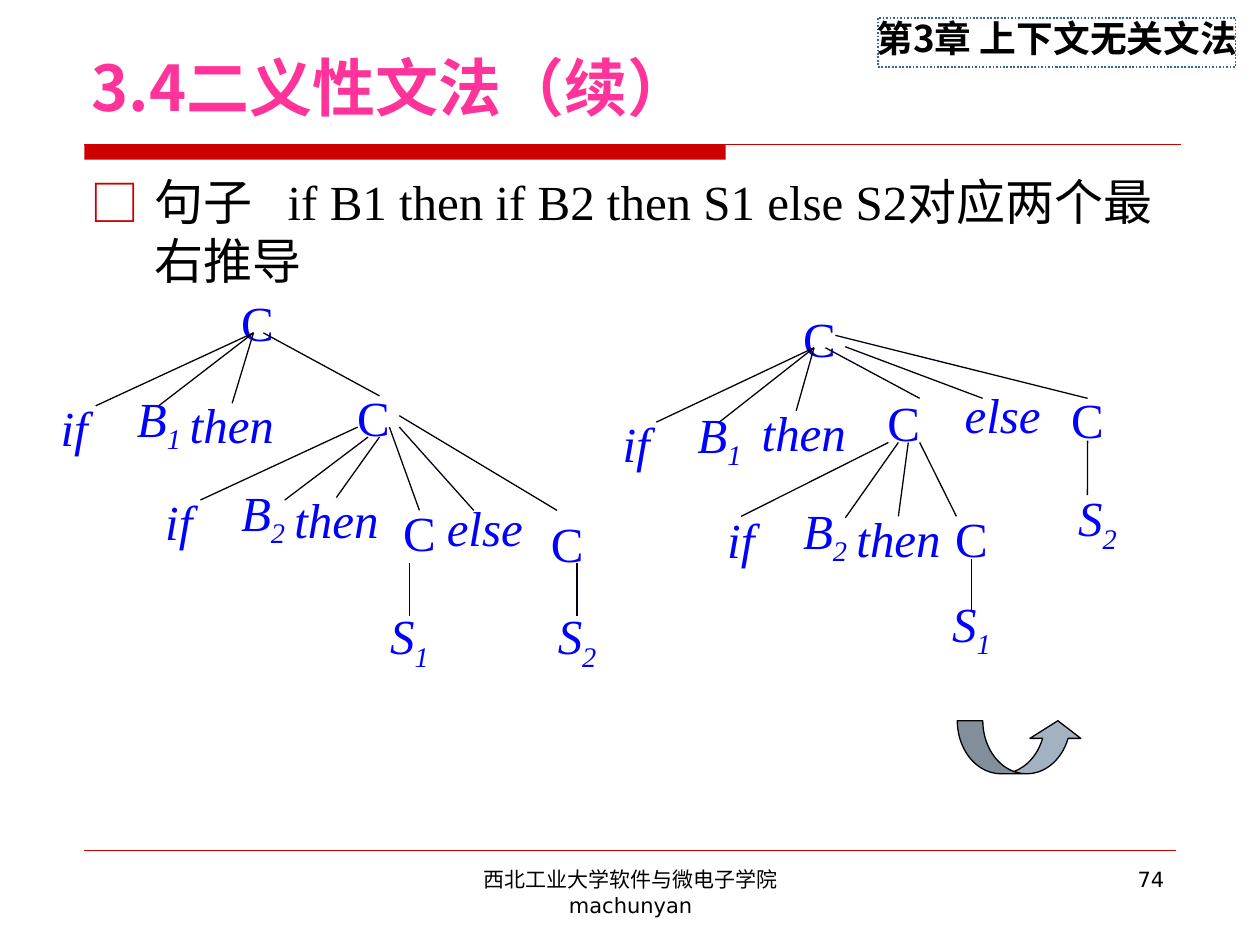
import pptx
import pptx.dml.color
import pptx.enum.dml
import pptx.enum.shapes
import pptx.enum.text
import pptx.oxml.ns
import pptx.util
from lxml import etree

Cm, Pt = pptx.util.Cm, pptx.util.Pt
RGB = pptx.dml.color.RGBColor
ALIGN = pptx.enum.text.PP_ALIGN
ANCHOR = pptx.enum.text.MSO_ANCHOR
SHAPE = pptx.enum.shapes.MSO_SHAPE
qn = pptx.oxml.ns.qn

BLACK, WHITE = RGB(0, 0, 0), RGB(255, 255, 255)
RED, PINK, BLUE = RGB(0xCC, 0, 0), RGB(0xFF, 0x33, 0x99), RGB(0, 0, 0xFF)
FRAME_BLUE, ARROW_GREY = RGB(0x33, 0x66, 0x99), RGB(0xA3, 0xB2, 0xC1)
BRANCH = RGB(0x03, 0x01, 0x0F)
SERIF, SANS, HAN = "Times New Roman", "DejaVu Sans", "Noto Sans CJK JP"

CHAPTER = "第3章 上下文无关文法"
TITLE = "3.4二义性文法（续）"
SENTENCE = "句子\tif B1 then if B2 then S1 else S2对应两个最右推导"
FOOTER = "西北工业大学软件与微电子学院 machunyan"
PAGE = "74"

# Node: key -> (label, left, top) in cm; a digit in a label is a subscript
WIDE, WORD, LOW = (1.9, 0.85), (1.27, 0.85), (1.27, 0.64)
NEAREST_THEN = {
    "root": ("C", 4.24, 6.07), "inner": ("C", 6.58, 7.98),
    "if 1": ("if", 0.86, 8.18), "B1": ("B1", 2.57, 8.18),
    "then 1": ("then", 4.04, 8.13),
    "if 2": ("if", 2.97, 10.08), "B2": ("B2", 4.67, 10.08),
    "then 2": ("then", 6.15, 10.03), "C1": ("C", 7.82, 10.29),
    "else": ("else", 9.14, 10.31), "C2": ("C", 10.8, 10.52),
    "S1": ("S1", 7.62, 12.57), "S2": ("S2", 11, 12.57),
}
FARTHEST_THEN = {
    "root": ("C", 15.57, 6.38), "inner": ("C", 17.27, 8.08),
    "if 1": ("if", 12.19, 8.51), "B1": ("B1", 13.87, 8.51),
    "then 1": ("then", 15.57, 8.28),
    "else": ("else", 19.58, 8.03), "C2": ("C", 21.29, 8.03),
    "if 2": ("if", 14.3, 10.44), "B2": ("B2", 16, 10.44),
    "then 2": ("then", 17.48, 10.41), "C1": ("C", 18.95, 10.41),
    "S1": ("S1", 18.95, 12.32), "S2": ("S2", 21.49, 10.19),
}
# Branch: (from, to), each a point in cm or the key of a node to join
NEAREST_BRANCHES = [
    ((5.11, 6.71), (1.93, 8.18)), ((5.11, 6.71), (3.2, 8.18)),
    ((5.11, 6.71), (4.68, 8.13)), ((5.31, 6.71), (7.65, 7.98)),
    ((7.21, 8.61), (4.04, 10.08)), ((7.42, 8.81), (5.74, 10.08)),
    ((7.65, 8.81), (6.78, 10.03)), ((7.85, 8.61), "C1"),
    ((8.05, 8.61), (9.55, 10.29)), ((8.05, 8.38), (11.23, 10.29)),
    ((8.26, 11.35), (8.26, 12.42)), ((11.63, 11.35), (11.63, 12.42)),
]
FARTHEST_BRANCHES = [
    ((16.41, 7.01), (13.23, 8.51)), ((16.41, 7.01), (14.5, 8.51)),
    ((16.41, 7.01), (16.05, 8.28)), ((16.64, 7.01), (18.54, 8.03)),
    ((17.04, 6.99), (19.81, 8.03)), ((16.84, 6.76), "C2"),
    ((17.91, 8.92), (14.94, 10.41)), ((18.11, 8.92), (17.04, 10.44)),
    ((18.31, 8.92), (18.11, 10.41)), ((18.54, 8.92), (19.28, 10.41)),
    ("C1", "S1"), ("C2", (21.92, 9.98)),
]

deck = pptx.Presentation()
deck.slide_width, deck.slide_height = Cm(25.4), Cm(19.05)
slide = deck.slides.add_slide(deck.slide_layouts[6])


def add_run(paragraph, text, font=SERIF, **style):
    run = paragraph.add_run()
    run.text = text
    color = style.pop("color", BLACK)
    for key, value in {"name": font, **style}.items():
        setattr(run.font, key, value)
    run.font.color.rgb = color
    etree.SubElement(run.font._element, qn("a:ea"), typeface=HAN)
    return run


def add_box(left, top, width, height, fill=None, kind=SHAPE.RECTANGLE):
    box = slide.shapes.add_shape(kind, Cm(left), Cm(top), Cm(width), Cm(height))
    box.shadow.inherit = False
    box.line.fill.background()
    if fill is None:
        box.fill.background()
    else:
        box.fill.solid()
        box.fill.fore_color.rgb = fill
    frame = box.text_frame
    frame.word_wrap, frame.vertical_anchor = False, ANCHOR.MIDDLE
    frame.paragraphs[0].alignment = ALIGN.CENTER
    return box


def add_text(box, text, align=ALIGN.LEFT, anchor=ANCHOR.TOP, **style):
    frame = slide.shapes.add_textbox(*map(Cm, box)).text_frame
    frame.word_wrap, frame.vertical_anchor = True, anchor
    paragraph = frame.paragraphs[0]
    paragraph.alignment = align
    add_run(paragraph, text, **style)
    return paragraph


def add_line(start, end, color=BRANCH, width=0.75):
    line = slide.shapes.add_connector(
        pptx.enum.shapes.MSO_CONNECTOR.STRAIGHT, *map(Cm, (*start, *end)))
    line.line.color.rgb, line.line.width = color, Pt(width)
    etree.SubElement(line._element.spPr, qn("a:effectLst"))
    return line


def add_node(key, label, left, top):
    if key in ("root", "inner"):
        size = WIDE
    else:
        size = LOW if label == "else" or label[-1].isdigit() else WORD
    node = add_box(left, top, *size, fill=WHITE)
    letters = label.rstrip("12")
    style = {"size": Pt(28), "color": BLUE, "italic": label != "C"}
    paragraph = node.text_frame.paragraphs[0]
    add_run(paragraph, letters, **style)
    if letters != label:
        index = add_run(paragraph, label[len(letters):], **style)
        index.font._element.set("baseline", "-25000")
    return node


def add_tree(nodes, branches):
    boxes = {key: add_node(key, *node) for key, node in nodes.items()}
    for start, end in branches:
        points = [(0, 0) if isinstance(p, str) else p for p in (start, end)]
        branch = add_line(*points)
        if isinstance(start, str):
            branch.begin_connect(boxes[start], 2)
        if isinstance(end, str):
            branch.end_connect(boxes[end], 0)


# Frame of the slide
add_box(1.7, 2.92, 12.93, 0.3, fill=RED)
add_line((1.7, 2.92), (23.8, 2.92), RED)
add_line((1.7, 17.15), (23.7, 17.15), RED, 0.25)
chapter = add_box(17.7, 0.36, 7.21, 0.99)
chapter.line.color.rgb, chapter.line.width = FRAME_BLUE, Pt(1)
chapter.line.dash_style = pptx.enum.dml.MSO_LINE.ROUND_DOT
chapter_line = chapter.text_frame.paragraphs[0]
chapter_line.line_spacing = 0.75
add_run(chapter_line, CHAPTER, HAN, size=Pt(21), bold=True)
add_text((8.69, 17.35, 8.05, 1.32), FOOTER, ALIGN.CENTER, font=SANS, size=Pt(12))
add_text((18.21, 17.35, 5.51, 1.32), PAGE, ALIGN.RIGHT, font=SANS, size=Pt(12))

add_tree(NEAREST_THEN, NEAREST_BRANCHES)
add_tree(FARTHEST_THEN, FARTHEST_BRANCHES)

swap = add_box(19.3, 14.53, 2.54, 1.07, ARROW_GREY, SHAPE.CURVED_UP_ARROW)
swap.line.color.rgb, swap.line.width = BLACK, Pt(0.75)
for position, value in enumerate((0.48, 0.96, 0.333)):
    swap.adjustments[position] = value

add_text((1.6, 0.33, 22.23, 2.29), TITLE, anchor=ANCHOR.BOTTOM,
         font=HAN, size=Pt(36), bold=True, color=PINK)
sentence = add_text((1.57, 3.33, 22.23, 2.82), SENTENCE, size=Pt(28))
properties = sentence._p.get_or_add_pPr()
properties.set("marL", str(Cm(1.3)))
properties.set("indent", str(-Cm(1.3)))
bullet_color = etree.SubElement(properties, qn("a:buClr"))
etree.SubElement(bullet_color, qn("a:srgbClr"), val=str(RED))
etree.SubElement(properties, qn("a:buFont"), typeface=HAN)
etree.SubElement(properties, qn("a:buChar"), char="□")
tabs = etree.SubElement(properties, qn("a:tabLst"))
etree.SubElement(tabs, qn("a:tab"), pos=str(Cm(3.98)), algn="l")

deck.save("out.pptx")
